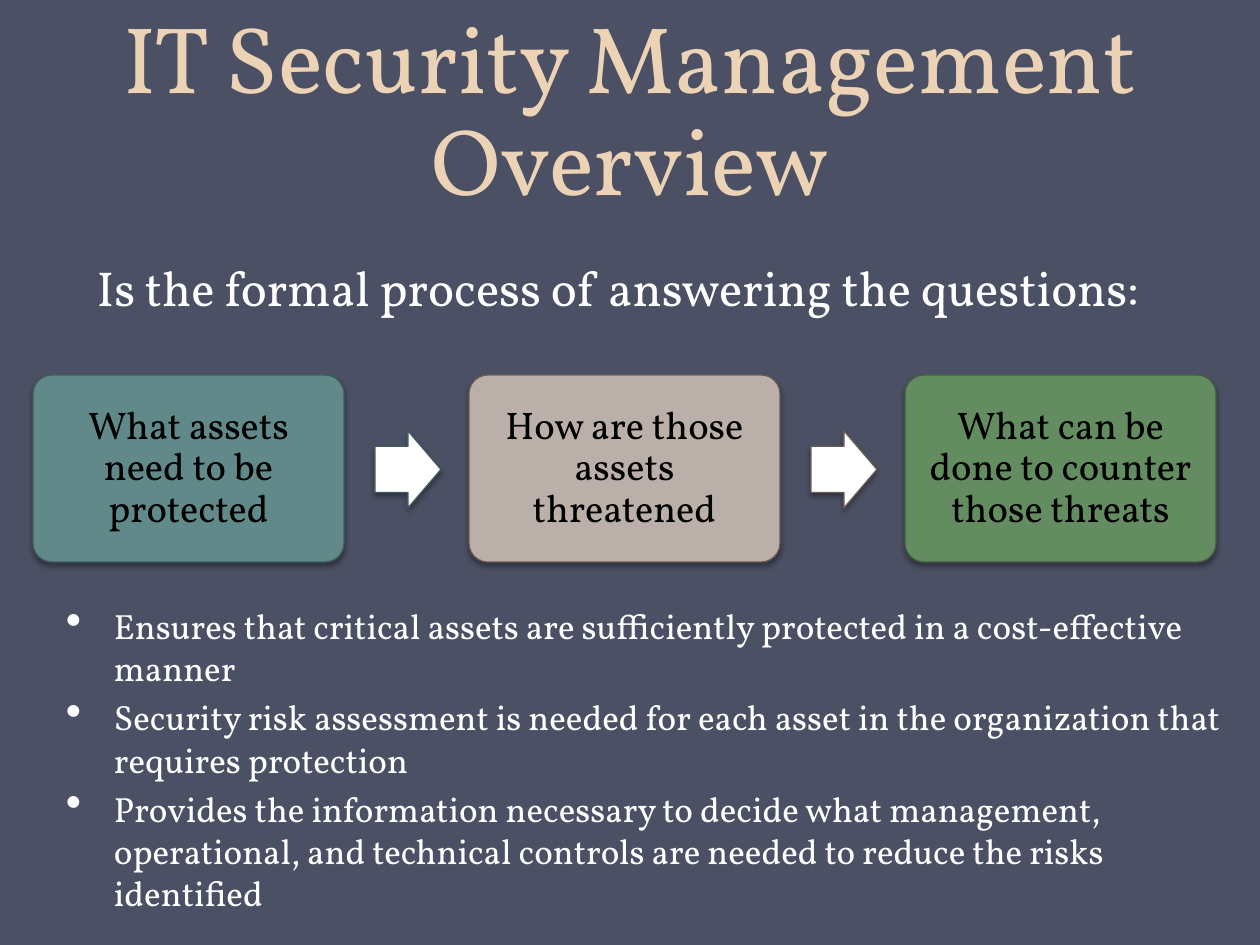
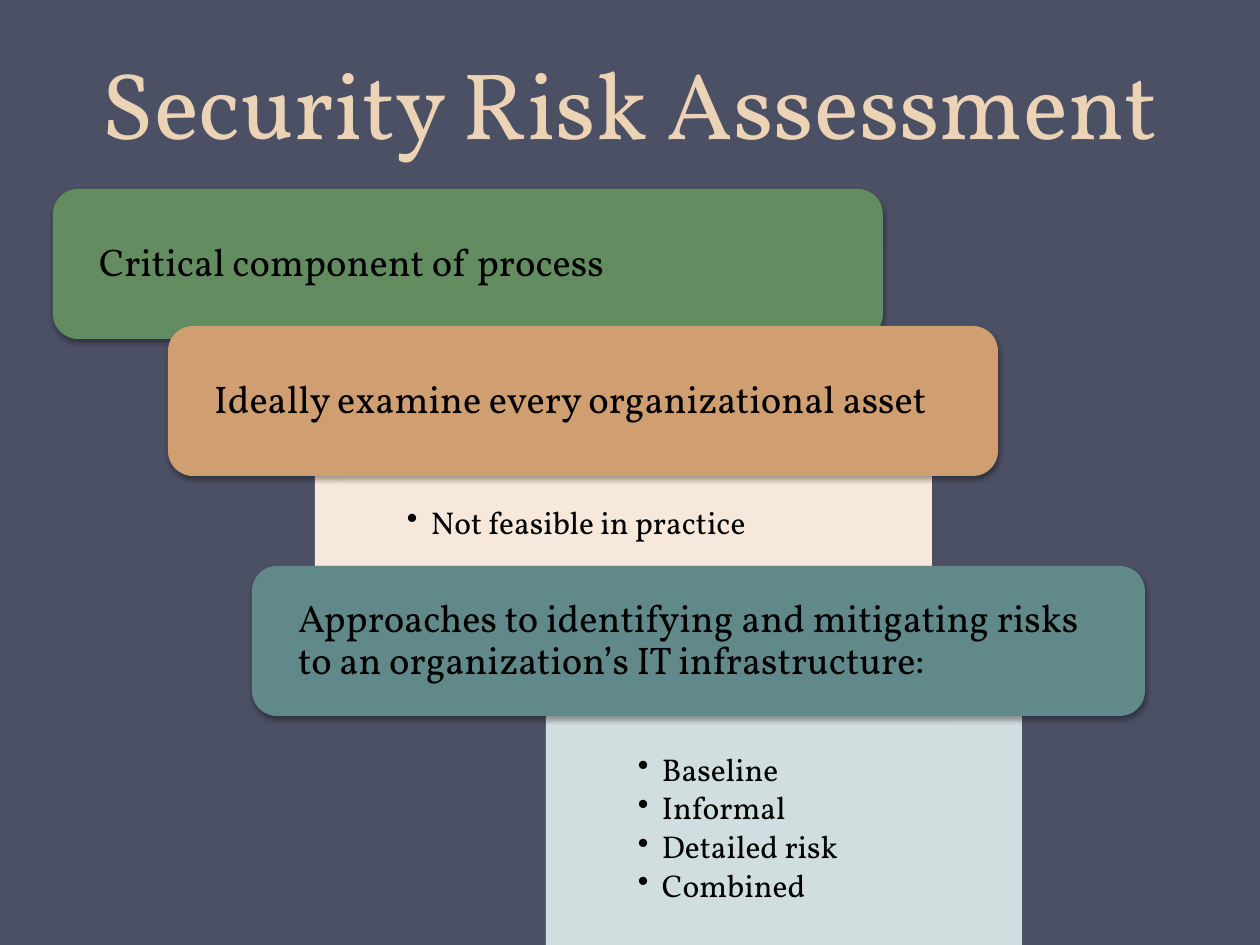
"""Build two slides introducing IT security management and risk assessment."""
from dataclasses import dataclass

from lxml import etree
from pptx import Presentation
from pptx.dml.color import RGBColor
from pptx.enum.shapes import MSO_SHAPE
from pptx.enum.text import MSO_ANCHOR, PP_ALIGN
from pptx.oxml.ns import qn
from pptx.util import Pt

ROUNDED = MSO_SHAPE.ROUNDED_RECTANGLE
RECTANGLE = MSO_SHAPE.RECTANGLE
ARROW = MSO_SHAPE.RIGHT_ARROW
TOP, MIDDLE, BOTTOM = MSO_ANCHOR.TOP, MSO_ANCHOR.MIDDLE, MSO_ANCHOR.BOTTOM
LEFT, CENTER = PP_ALIGN.LEFT, PP_ALIGN.CENTER

EMU_PER_PX = 914400 / 126
SLIDE_WIDTH, SLIDE_HEIGHT = 1260, 945
DEFAULT_INSETS = (13, 6, 13, 6)


@dataclass(frozen=True)
class Theme:
    font: str = "Vollkorn"
    background: str = "4B5064"
    title: str = "EDD3B6"
    light: str = "FFFFFF"
    dark: str = "000000"
    teal: str = "61898A"
    teal_edge: str = "415B5C"
    teal_tint: str = "D1DEDF"
    taupe: str = "BAB0A9"
    taupe_edge: str = "695C54"
    green: str = "648C61"
    green_edge: str = "435E40"
    orange: str = "CF9E71"
    orange_tint: str = "F6E9DB"
    title_size: int = 54
    title_leading: int = 58
    lead_size: int = 28
    card_size: int = 22
    body_size: int = 20
    detail_size: int = 18


THEME = Theme()


@dataclass(frozen=True)
class Box:
    left: int
    top: int
    width: int
    height: int


@dataclass(frozen=True)
class Question:
    text: str
    fill: str
    edge: str


@dataclass(frozen=True)
class Step:
    text: str
    box: Box
    fill: str
    details: tuple[str, ...] = ()
    detail_box: Box | None = None
    detail_fill: str = ""


QUESTIONS = (
    Question("What assets need to be protected", THEME.teal, THEME.teal_edge),
    Question("How are those assets threatened", THEME.taupe, THEME.taupe_edge),
    Question("What can be done to counter those threats", THEME.green, THEME.green_edge),
)
BENEFITS = (
    "Ensures that critical assets are sufficiently protected in a cost-effective manner",
    "Security risk assessment is needed for each asset in the organization that requires protection",
    "Provides the information necessary to decide what management, operational, "
    "and technical controls are needed to reduce the risks identified",
)
STEPS = (
    Step("Critical component of process", Box(53, 189, 830, 150), THEME.green),
    Step("Ideally examine every organizational asset", Box(168, 326, 830, 150), THEME.orange,
         ("Not feasible in practice",), Box(315, 401, 617, 165), THEME.orange_tint),
    Step("Approaches to identifying and mitigating risks to an organization’s IT infrastructure:",
         Box(252, 566, 893, 150), THEME.teal,
         ("Baseline", "Informal", "Detailed risk", "Combined"),
         Box(546, 648, 476, 297), THEME.teal_tint),
)


def px(length: int) -> int:
    """Turn a length in px into EMU."""
    return round(length * EMU_PER_PX)


def place(box: Box) -> tuple[int, int, int, int]:
    """Give the position and size of a box in EMU."""
    return px(box.left), px(box.top), px(box.width), px(box.height)


def add_bullet(paragraph, indent: int, scale: int) -> None:
    """Give a paragraph a hanging bullet."""
    properties = paragraph._p.get_or_add_pPr()
    properties.set("marL", str(px(indent)))
    properties.set("indent", str(-px(indent)))
    etree.SubElement(properties, qn("a:buSzPct"), val=str(scale * 1000))
    etree.SubElement(properties, qn("a:buChar"), char="•")


def write(shape, *lines: str, size: int, color: str = THEME.dark, align=LEFT,
          anchor=TOP, insets=DEFAULT_INSETS, leading=None, before: float = 0,
          after: float = 0, bullet_indent: int = 0, bullet_scale: int = 100) -> None:
    """Fill a shape with formatted paragraphs."""
    frame = shape.text_frame
    frame.word_wrap = True
    frame.vertical_anchor = anchor
    (frame.margin_left, frame.margin_top,
     frame.margin_right, frame.margin_bottom) = map(px, insets)
    for index, line in enumerate(lines):
        paragraph = frame.add_paragraph() if index else frame.paragraphs[0]
        paragraph.alignment = align
        paragraph.line_spacing = leading
        paragraph.space_before, paragraph.space_after = Pt(before), Pt(after)
        if bullet_indent:
            add_bullet(paragraph, bullet_indent, bullet_scale)
        run = paragraph.add_run()
        run.text = line
        run.font.name = THEME.font
        run.font.size = Pt(size)
        run.font.color.rgb = RGBColor.from_string(color)


def add_shadow(shape) -> None:
    """Give a shape a soft shadow straight below it."""
    effects = shape._element.spPr.find(qn("a:effectLst"))
    shadow = etree.SubElement(effects, qn("a:outerShdw"), blurRad=str(Pt(3.1)),
                              dist=str(Pt(1.8)), dir="5400000", rotWithShape="0")
    color = etree.SubElement(shadow, qn("a:srgbClr"), val=THEME.dark)
    etree.SubElement(color, qn("a:alpha"), val="35000")


def draw(slide, kind, box: Box, fill: str, edge: str = "",
         shadow: bool = True, adjustments: tuple[float, ...] = ()):
    """Draw a filled preset shape."""
    shape = slide.shapes.add_shape(kind, *place(box))
    for index, value in enumerate(adjustments):
        shape.adjustments[index] = value
    shape.fill.solid()
    shape.fill.fore_color.rgb = RGBColor.from_string(fill)
    if edge:
        shape.line.color.rgb = RGBColor.from_string(edge)
        shape.line.width = Pt(0.75)
    else:
        shape.line.fill.background()
    shape.shadow.inherit = False
    if shadow:
        add_shadow(shape)
    return shape


def add_text(slide, box: Box, *lines: str, **text_format) -> None:
    """Add a text box with formatted paragraphs."""
    write(slide.shapes.add_textbox(*place(box)), *lines, **text_format)


def add_slide(deck, title: str, title_box: Box):
    """Add a slide with the shared background and title style."""
    slide = deck.slides.add_slide(deck.slide_layouts[6])
    slide.background.fill.solid()
    slide.background.fill.fore_color.rgb = RGBColor.from_string(THEME.background)
    add_text(slide, title_box, title, size=THEME.title_size, color=THEME.title,
             align=CENTER, anchor=BOTTOM, leading=Pt(THEME.title_leading))
    return slide


def build_overview(deck) -> None:
    """Build the slide with the three questions and the benefits."""
    slide = add_slide(deck, "IT Security Management Overview", Box(63, 0, 1134, 220))
    add_text(slide, Box(53, 599, 1187, 388), *BENEFITS, size=THEME.body_size,
             color=THEME.light, before=4, bullet_indent=48, bullet_scale=130)
    first_left, pitch, arrow_offset = 33, 436, 342
    for index, question in enumerate(QUESTIONS):
        left = first_left + index * pitch
        card = draw(slide, ROUNDED, Box(left, 375, 311, 187), question.fill,
                    question.edge, adjustments=(0.1,))
        write(card, question.text, size=THEME.card_size, align=CENTER,
              anchor=MIDDLE, insets=(17, 17, 17, 17), leading=0.9)
        if index < len(QUESTIONS) - 1:
            draw(slide, ARROW, Box(left + arrow_offset, 431, 66, 77), THEME.light,
                 question.edge, adjustments=(0.6, 0.5))
    add_text(slide, Box(84, 252, 1113, 111),
             "Is the formal process of answering the questions:",
             size=THEME.lead_size, color=THEME.light)


def build_assessment(deck) -> None:
    """Build the slide with the staggered assessment steps."""
    slide = add_slide(deck, "Security Risk Assessment", Box(63, -31, 1134, 195))
    for step in STEPS:
        if step.detail_box:
            panel = draw(slide, RECTANGLE, step.detail_box, step.detail_fill, shadow=False)
            write(panel, *step.details, size=THEME.detail_size, insets=(92, 106, 92, 18),
                  leading=0.9, after=2.7, bullet_indent=24)
        card = draw(slide, ROUNDED, step.box, step.fill)
        write(card, step.text, size=THEME.card_size, anchor=MIDDLE,
              insets=(39, 7, 39, 7), leading=0.9)


def main() -> None:
    """Build and save the presentation."""
    deck = Presentation()
    deck.slide_width, deck.slide_height = px(SLIDE_WIDTH), px(SLIDE_HEIGHT)
    build_overview(deck)
    build_assessment(deck)
    deck.save("out.pptx")


if __name__ == "__main__":
    main()
